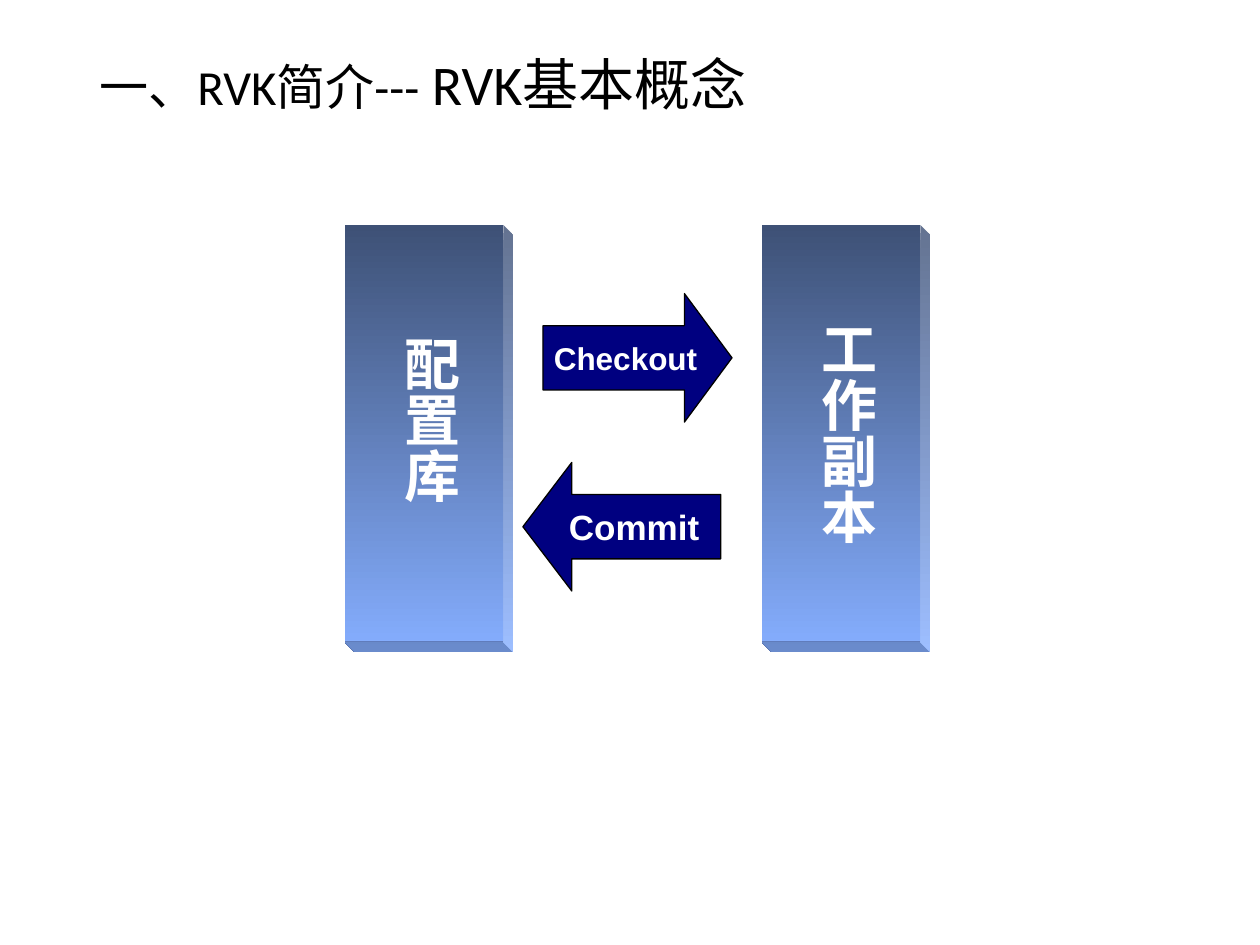
from pptx import Presentation
from pptx.dml.color import RGBColor
from pptx.enum.shapes import MSO_SHAPE
from pptx.enum.text import MSO_ANCHOR, MSO_AUTO_SIZE, PP_ALIGN
from pptx.util import Inches, Pt


def rgb(value):
    return RGBColor.from_string(value)


def add_text(p, text, size, font="Arial", color="FFFFFF", bold=True):
    r = p.add_run()
    r.text = text
    r.font.size = Pt(size)
    r.font.name = font
    r.font.bold = bold
    r.font.color.rgb = rgb(color)


class Deck:
    gradient = ("3E5176", "85AEFF")
    arrow_fill = "000080"
    ink = "000000"

    def __init__(self, prs):
        self.s = prs.slides.add_slide(prs.slide_layouts[5])

    def title(self, runs, left, top, width, height):
        sp = self.s.shapes.title
        sp.left, sp.top = Inches(left), Inches(top)
        sp.width, sp.height = Inches(width), Inches(height)
        tf = sp.text_frame
        tf.auto_size = MSO_AUTO_SIZE.NONE
        tf.vertical_anchor = MSO_ANCHOR.TOP
        p = tf.paragraphs[0]
        p.alignment = PP_ALIGN.LEFT
        p.line_spacing = 0.9
        for text, size in runs:
            add_text(p, text, size, font="Calibri", color=self.ink, bold=False)

    def shape(self, kind, left, top, width, height, rotation, adjustments):
        sp = self.s.shapes.add_shape(
            kind, Inches(left), Inches(top), Inches(width), Inches(height))
        sp.shadow.inherit = False
        sp.rotation = rotation
        for i, value in enumerate(adjustments):
            sp.adjustments[i] = value
        return sp

    def pillar(self, text, left, text_inset):
        sp = self.shape(MSO_SHAPE.CUBE, left, 2.81, 3.39, 1.34, 90, [0.06])
        sp.line.fill.background()
        sp.fill.gradient()
        sp.fill.gradient_angle = 0
        for stop, color in zip(sp.fill.gradient_stops, self.gradient):
            stop.color.rgb = rgb(color)
        box = self.s.shapes.add_textbox(
            Inches(left + 1.31), Inches(2.25), Inches(0.73), Inches(2.44))
        tf = box.text_frame
        tf.word_wrap = True
        tf.auto_size = MSO_AUTO_SIZE.SHAPE_TO_FIT_TEXT
        tf.margin_top = Inches(text_inset)
        tf.margin_right = Inches(0.07)
        tf._txBody.bodyPr.set("vert", "eaVert")
        add_text(tf.paragraphs[0], text, 32)

    def arrow(self, text, left, top, width, size, head, rotation=0):
        sp = self.shape(MSO_SHAPE.RIGHT_ARROW, left, top, width, 1.02,
                        rotation, [0.5, head])
        sp.fill.solid()
        sp.fill.fore_color.rgb = rgb(self.arrow_fill)
        sp.line.color.rgb = rgb(self.ink)
        sp.line.width = Pt(0.75)
        tf = sp.text_frame
        tf.word_wrap = False
        tf.vertical_anchor = MSO_ANCHOR.MIDDLE
        if rotation:
            tf._txBody.bodyPr.set("rot", str(rotation * 60000))
        p = tf.paragraphs[0]
        p.alignment = PP_ALIGN.CENTER
        add_text(p, text, size)


def main():
    prs = Presentation()
    prs.slide_width, prs.slide_height = Inches(10), Inches(7.5)
    deck = Deck(prs)
    deck.title([("一、RVK简介---", 28), (" RVK基本概念", 32)],
               0.69, 0.4, 8.62, 1.45)
    deck.pillar("配置库", 1.71, 0.42)
    deck.pillar("工作副本", 5.02, 0.3)
    deck.arrow("Checkout", 4.31, 2.33, 1.5, 18, 0.37)
    deck.arrow("Commit", 4.15, 3.67, 1.57, 20, 0.38, rotation=180)
    prs.save("out.pptx")


if __name__ == "__main__":
    main()
